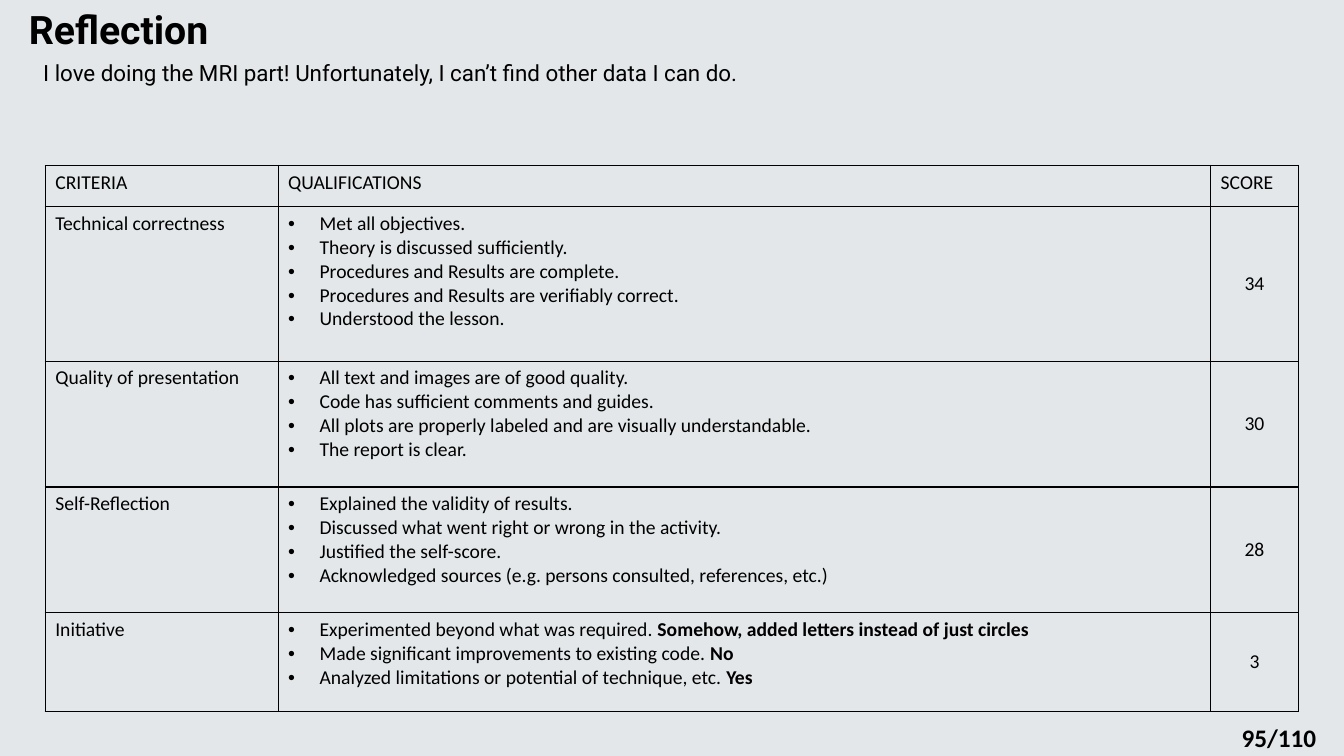
"""Build the reflection slide with its self-scoring table."""
from dataclasses import dataclass

from lxml.etree import SubElement
from pptx import Presentation
from pptx.dml.color import RGBColor
from pptx.enum.shapes import MSO_SHAPE as Preset
from pptx.enum.text import MSO_ANCHOR as Anchor, PP_ALIGN as Align
from pptx.oxml.ns import qn
from pptx.slide import Slide
from pptx.table import _Cell as Cell
from pptx.text.text import _Paragraph as Paragraph
from pptx.util import Cm, Pt

INK = "000000"
BACKDROP = "E3E7E9"
BODY_FONT = "Calibri"
HEADING_FONT = "Roboto"
HEADING_INDENT = Cm(0.48)
BULLET_INDENT = Cm(0.79)
COLUMN_WIDTHS = (5.87, 23.5, 2.21)
HEADER_HEIGHT = 1.04
HEADINGS = ("CRITERIA", "QUALIFICATIONS", "SCORE")


@dataclass(frozen=True)
class Qualification:
    """One bulleted requirement with an optional bold remark."""
    text: str
    remark: str = ""


@dataclass(frozen=True)
class Criterion:
    """One scored row of the table."""
    name: str
    score: int
    height: float
    qualifications: tuple[Qualification, ...]


@dataclass(frozen=True)
class Caption:
    """A line of text standing outside the table."""
    text: str
    left: float
    top: float
    width: float
    height: float
    size: int
    font: str
    bold: bool = False
    indent: int = 0


CRITERIA = (
    Criterion("Technical correctness", 34, 3.89, (
        Qualification("Met all objectives."),
        Qualification("Theory is discussed sufficiently."),
        Qualification("Procedures and Results are complete."),
        Qualification("Procedures and Results are verifiably correct."),
        Qualification("Understood the lesson."),
    )),
    Criterion("Quality of presentation", 30, 3.17, (
        Qualification("All text and images are of good quality."),
        Qualification("Code has sufficient comments and guides."),
        Qualification("All plots are properly labeled and are visually understandable."),
        Qualification("The report is clear."),
    )),
    Criterion("Self-Reflection", 28, 3.17, (
        Qualification("Explained the validity of results."),
        Qualification("Discussed what went right or wrong in the activity."),
        Qualification("Justified the self-score."),
        Qualification("Acknowledged sources (e.g. persons consulted, references, etc.)"),
    )),
    Criterion("Initiative", 3, 2.48, (
        Qualification("Experimented beyond what was required. ",
                      "Somehow, added letters instead of just circles"),
        Qualification("Made significant improvements to existing code. ", "No"),
        Qualification("Analyzed limitations or potential of technique, etc. ", "Yes"),
    )),
)

CAPTIONS = (
    Caption("I love doing the MRI part! Unfortunately, I can’t find other data I can do.",
            0.36, 1.37, 33.12, 0.94, 16, HEADING_FONT, indent=HEADING_INDENT),
    Caption("95/110", 31.04, 18.08, 2.46, 1.02, 18, BODY_FONT, bold=True),
)


def color(value: str) -> RGBColor:
    """Turn a hex string into a colour."""
    return RGBColor.from_string(value)


def style_runs(paragraph: Paragraph, size: int, font: str, bold: bool = False) -> None:
    """Give every run of a paragraph the same look."""
    for run in paragraph.runs:
        run.font.size, run.font.name, run.font.bold = Pt(size), font, bold
        run.font.color.rgb = color(INK)


def indent(paragraph: Paragraph, margin: int, first_line: int = 0) -> None:
    """Set the left margin and the first-line indent."""
    properties = paragraph._p.get_or_add_pPr()
    properties.set("marL", str(margin))
    properties.set("indent", str(first_line))


def add_backdrop(slide: Slide, width: int, height: int) -> None:
    """Cover the slide with the panel that carries the title."""
    panel = slide.shapes.add_shape(Preset.RECTANGLE, 0, 0, width, height)
    panel.shadow.inherit = False
    panel.fill.solid()
    panel.fill.fore_color.rgb = color(BACKDROP)
    panel.line.fill.background()
    panel.text_frame.text = "Reflection"
    panel.text_frame.vertical_anchor = Anchor.TOP
    title = panel.text_frame.paragraphs[0]
    title.alignment = Align.LEFT
    indent(title, HEADING_INDENT)
    style_runs(title, 28, HEADING_FONT, bold=True)


def add_caption(slide: Slide, caption: Caption) -> None:
    """Place one line of text."""
    frame = slide.shapes.add_textbox(Cm(caption.left), Cm(caption.top),
                                     Cm(caption.width), Cm(caption.height)).text_frame
    frame.word_wrap = True
    frame.text = caption.text
    indent(frame.paragraphs[0], caption.indent)
    style_runs(frame.paragraphs[0], caption.size, caption.font, caption.bold)


def outline(cell: Cell) -> None:
    """Draw the cell's four borders and clear its fill."""
    properties = cell._tc.get_or_add_tcPr()
    for side in ("a:lnL", "a:lnR", "a:lnT", "a:lnB"):
        border = SubElement(properties, qn(side), w=str(Pt(1)))
        SubElement(SubElement(border, qn("a:solidFill")), qn("a:srgbClr"), val=INK)
    cell.fill.background()


def write_cell(cell: Cell, text: str) -> None:
    """Fill a cell with plain text."""
    cell.text_frame.text = text
    style_runs(cell.text_frame.paragraphs[0], 14, BODY_FONT)


def write_qualifications(cell: Cell, qualifications: tuple[Qualification, ...]) -> None:
    """Fill a cell with bullets, remarks in bold."""
    cell.text_frame.text = "\n".join(item.text for item in qualifications)
    for paragraph, item in zip(cell.text_frame.paragraphs, qualifications):
        indent(paragraph, BULLET_INDENT, -BULLET_INDENT)
        properties = paragraph._p.get_or_add_pPr()
        SubElement(properties, qn("a:buFont"), typeface="Arial")
        SubElement(properties, qn("a:buChar"), char="•")
        if item.remark:
            paragraph.add_run().text = item.remark
        style_runs(paragraph, 14, BODY_FONT)
        if item.remark:
            paragraph.runs[-1].font.bold = True


def add_score_table(slide: Slide) -> None:
    """Add the table of criteria, qualifications and scores."""
    heights = (HEADER_HEIGHT, *(criterion.height for criterion in CRITERIA))
    scores = slide.shapes.add_table(len(heights), len(COLUMN_WIDTHS), Cm(1.14), Cm(4.17),
                                    Cm(sum(COLUMN_WIDTHS)), Cm(sum(heights))).table
    scores.first_row = scores.horz_banding = False
    for column, width in zip(scores.columns, COLUMN_WIDTHS):
        column.width = Cm(width)
    for row, height in zip(scores.rows, heights):
        row.height = Cm(height)
    for cell in scores.iter_cells():
        outline(cell)
    for column_index, heading in enumerate(HEADINGS):
        write_cell(scores.cell(0, column_index), heading)
    for row_index, criterion in enumerate(CRITERIA, start=1):
        name, details, score = scores.rows[row_index].cells
        write_cell(name, criterion.name)
        write_qualifications(details, criterion.qualifications)
        write_cell(score, str(criterion.score))
        score.vertical_anchor = Anchor.MIDDLE
        score.text_frame.paragraphs[0].alignment = Align.CENTER


def main() -> None:
    """Build and save the slide."""
    deck = Presentation()
    deck.slide_width, deck.slide_height = Cm(33.87), Cm(19.05)
    slide = deck.slides.add_slide(deck.slide_layouts[6])
    add_backdrop(slide, deck.slide_width, deck.slide_height)
    for caption in CAPTIONS:
        add_caption(slide, caption)
    add_score_table(slide)
    deck.save("out.pptx")


if __name__ == "__main__":
    main()
